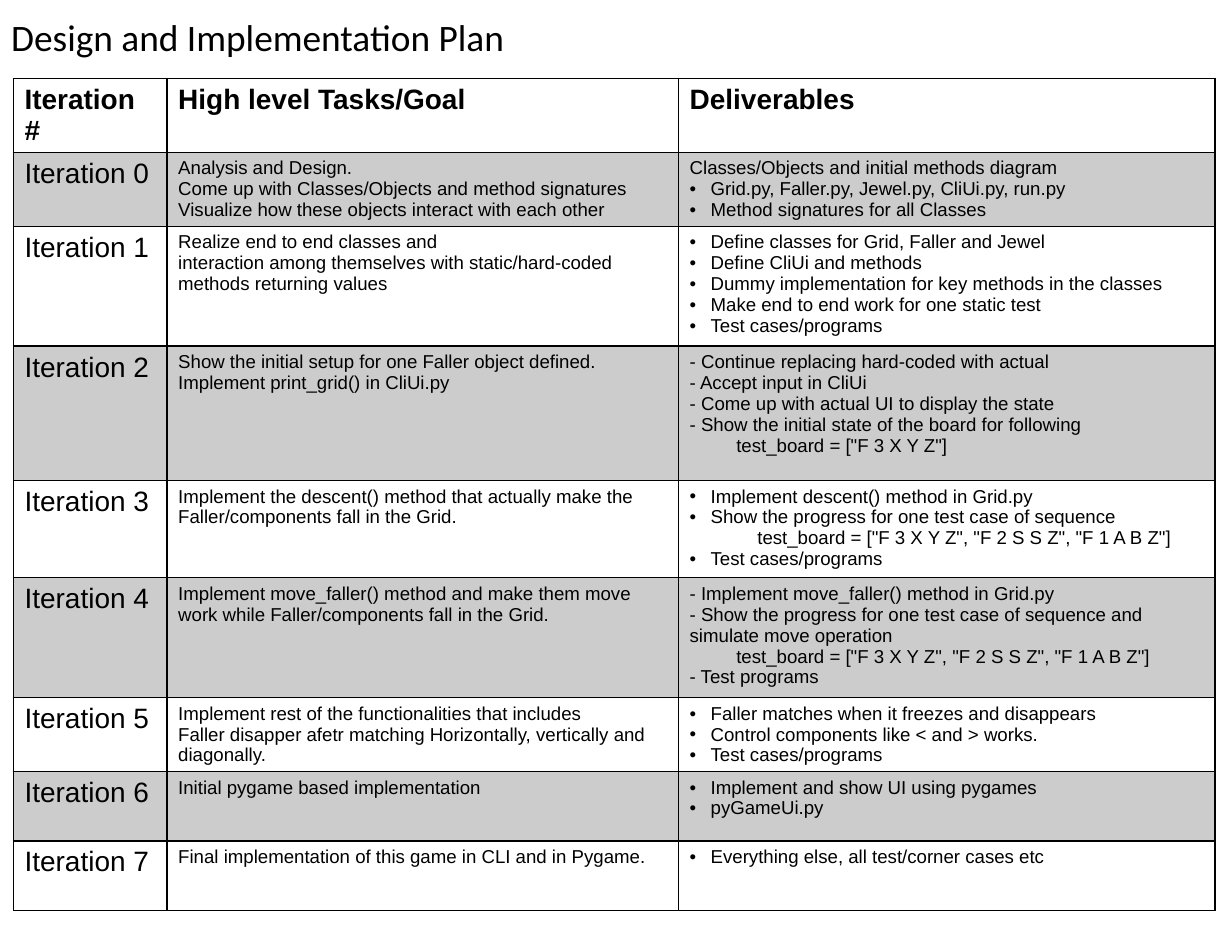
"""Build the Design and Implementation Plan slide with its iteration table."""
from lxml.etree import SubElement
from pptx import Presentation
from pptx.dml.color import RGBColor
from pptx.enum.text import MSO_ANCHOR, PP_ALIGN
from pptx.oxml.ns import qn
from pptx.util import Pt

BLACK = RGBColor(0, 0, 0)
SHADE_ALPHA = 20000
BULLET = "• "
BULLET_INDENT = 13.5
BOARD_INDENT = 30
COLUMN_WIDTHS = (98.8, 328.8, 345)
TITLE = "Design and Implementation Plan"
HEADINGS = ("Iteration #", "High level Tasks/Goal", "Deliverables")
HEADING_HEIGHT = 35.3
THREE_MOVES = 'test_board = ["F 3 X Y Z", "F 2 S S Z", "F 1 A B Z"]'

ITERATIONS = [
    (43.2,
     ["Analysis and Design. ",
      "Come up with Classes/Objects and method signatures",
      "Visualize how these objects interact with each other"],
     ["Classes/Objects and initial methods diagram",
      "• Grid.py, Faller.py, Jewel.py, CliUi.py, run.py",
      "• Method signatures for all Classes"]),
    (77,
     ["Realize end to end classes and\vinteraction among themselves with "
      "static/hard-coded methods returning values"],
     ["• Define classes for Grid, Faller and Jewel",
      "• Define CliUi and methods",
      "• Dummy implementation for key methods in the classes",
      "• Make end to end work for one static test",
      "• Test cases/programs"]),
    (86.4,
     ["Show the initial setup for one Faller object defined.\v"
      "Implement print_grid() in CliUi.py"],
     ["- Continue replacing hard-coded with actual",
      "- Accept input in CliUi",
      "- Come up with actual UI to display the state",
      "- Show the initial state of the board for following",
      'test_board = ["F 3 X Y Z"]']),
    (62.6,
     ["Implement the descent() method that actually make the "
      "Faller/components fall in the Grid."],
     ["• Implement descent() method in Grid.py",
      "• Show the progress for one test case of sequence",
      THREE_MOVES,
      "• Test cases/programs"]),
    (77,
     ["Implement move_faller() method and make them move work while "
      "Faller/components fall in the Grid."],
     ["- Implement move_faller() method in Grid.py",
      "- Show the progress for one test case of sequence and simulate move operation",
      THREE_MOVES,
      "- Test programs"]),
    (44.6,
     ["Implement rest of the functionalities that includes\v"
      "Faller disapper afetr matching Horizontally, vertically and diagonally."],
     ["• Faller matches when it freezes and disappears",
      "• Control components like < and > works.",
      "• Test cases/programs"]),
    (44.6,
     ["Initial pygame based implementation"],
     ["• Implement and show UI using pygames", "• pyGameUi.py"]),
    (44.6,
     ["Final implementation of this game in CLI and in Pygame."],
     ["• Everything else, all test/corner cases etc"]),
]


def format_runs(paragraph, size, font, bold=False):
    for run in paragraph.runs:
        run.font.size = Pt(size)
        run.font.name = font
        run.font.bold = bold
        run.font.color.rgb = BLACK


def indent(paragraph, left, hanging=0):
    properties = paragraph._p.get_or_add_pPr()
    properties.set("marL", str(Pt(left)))
    properties.set("indent", str(Pt(-hanging)))
    return properties


def write_cell(cell, lines, size, bold=False):
    bulleted = any(line.startswith(BULLET) for line in lines)
    cell.text_frame.text = "\n".join(line.removeprefix(BULLET) for line in lines)
    for paragraph, line in zip(cell.text_frame.paragraphs, lines):
        format_runs(paragraph, size, "Arial", bold)
        if line.startswith(BULLET):
            properties = indent(paragraph, BULLET_INDENT, BULLET_INDENT)
            SubElement(properties, qn("a:buFont"), typeface="Arial")
            SubElement(properties, qn("a:buChar"), char=BULLET.strip())
        elif line.startswith("test_board"):
            indent(paragraph, BOARD_INDENT + BULLET_INDENT * bulleted)


def style_cell(cell, shaded):
    properties = cell._tc.get_or_add_tcPr()
    for side in ("lnL", "lnR", "lnT", "lnB"):
        border = SubElement(properties, qn(f"a:{side}"), w=str(Pt(1)))
        ink = SubElement(border, qn("a:solidFill"))
        SubElement(ink, qn("a:srgbClr"), val=str(BLACK))
    if shaded:
        cell.fill.solid()
        cell.fill.fore_color.rgb = BLACK
        shade = properties.find(qn("a:solidFill")).find(qn("a:srgbClr"))
        SubElement(shade, qn("a:alpha"), val=str(SHADE_ALPHA))
    else:
        cell.fill.background()


presentation = Presentation()
presentation.slide_width, presentation.slide_height = Pt(792), Pt(612)
slide = presentation.slides.add_slide(presentation.slide_layouts[5])

title = slide.shapes.title
title.left, title.top, title.width, title.height = Pt(0), Pt(0), Pt(683), Pt(50.4)
title.text_frame.text = TITLE
title.text_frame.vertical_anchor = MSO_ANCHOR.MIDDLE
heading = title.text_frame.paragraphs[0]
heading.alignment = PP_ALIGN.LEFT
heading.line_spacing = 0.9
format_runs(heading, 24, "Calibri")

heights = [HEADING_HEIGHT] + [height for height, _, _ in ITERATIONS]
plan = slide.shapes.add_table(
    len(heights), len(COLUMN_WIDTHS), Pt(8.6), Pt(50.4),
    Pt(sum(COLUMN_WIDTHS)), Pt(sum(heights))).table
plan.first_row = plan.horz_banding = False
for column, width in zip(plan.columns, COLUMN_WIDTHS):
    column.width = Pt(width)
for row, height in zip(plan.rows, heights):
    row.height = Pt(height)

for column, text in enumerate(HEADINGS):
    write_cell(plan.cell(0, column), [text], 18, bold=True)
for number, (_, goals, deliverables) in enumerate(ITERATIONS):
    write_cell(plan.cell(number + 1, 0), [f"Iteration {number}"], 18)
    write_cell(plan.cell(number + 1, 1), goals, 12)
    write_cell(plan.cell(number + 1, 2), deliverables, 12)
for index, row in enumerate(plan.rows):
    for cell in row.cells:
        style_cell(cell, shaded=index % 2 == 1)

presentation.save("out.pptx")
